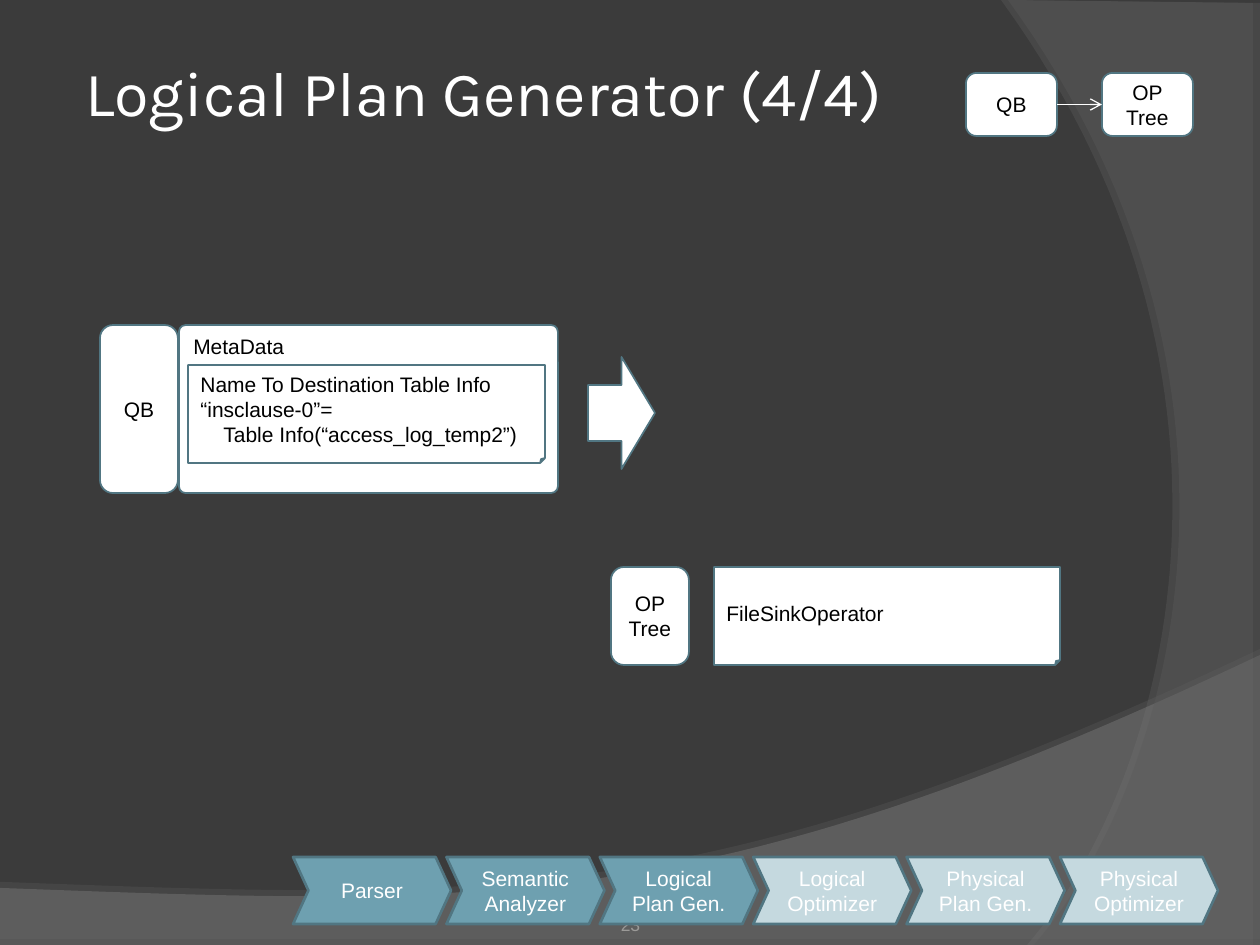
import pptx
import pptx.util
import pptx.dml.color
import pptx.enum.shapes
import pptx.enum.text
import pptx.oxml
import pptx.oxml.ns
from lxml import etree

SHAPE = pptx.enum.shapes.MSO_SHAPE
ALIGN = pptx.enum.text.PP_ALIGN
ANCHOR = pptx.enum.text.MSO_ANCHOR
EMU_PER_PX = 914400 / 126
COLORS = {
    "background": "3B3B3B", "wave": "7C7C7C", "arc": "595959", "shadow": "808080",
    "white": "FFFFFF", "black": "000000", "outline": "517682",
    "done": "6EA0B0", "pending": "C5D9DF", "number": "9B9A98",
}

TITLE = "Logical Plan Generator (4/4)"
SLIDE_NUMBER = "23"
# Corner points, then a Bezier curve from the last corner: two controls and its end
BACKDROPS = [
    {"corners": [(0, 888), (0, 945), (1260, 945), (1260, 655)],
     "curve": [(704, 919), (493, 906), (0, 888)],
     "color": "wave", "alpha": 45, "shadow": (35, 3.5, 270)},
    {"corners": [(1260, 3), (1260, 945), (1034, 945)],
     "curve": [(1178, 780), (1283, 378), (1008, 0)],
     "color": "arc", "alpha": 40, "shadow": (45, 4, 180)},
]
# kind, box, lines, alignment, anchor, corner adjustment
DIAGRAM = [
    (SHAPE.ROUNDED_RECTANGLE, (611, 567, 78, 98), ["OP", "Tree"], ALIGN.CENTER, ANCHOR.MIDDLE, None),
    (SHAPE.FOLDED_CORNER, (714, 567, 346, 98), ["FileSinkOperator"], ALIGN.LEFT, ANCHOR.MIDDLE, 0.05),
    (SHAPE.ROUNDED_RECTANGLE, (100, 325, 78, 168), ["QB"], ALIGN.CENTER, ANCHOR.MIDDLE, None),
    (SHAPE.ROUNDED_RECTANGLE, (179, 325, 379, 168), ["MetaData"], ALIGN.LEFT, ANCHOR.TOP, 0.04),
    (SHAPE.FOLDED_CORNER, (188, 365, 357, 98),
     ["Name To Destination Table Info", "“insclause-0”=", "Table Info(“access_log_temp2”)"],
     ALIGN.LEFT, ANCHOR.TOP, 0.05),
    (SHAPE.RIGHT_ARROW, (588, 357, 67, 112), [], ALIGN.CENTER, ANCHOR.MIDDLE, None),
]
STAGES = [
    (["Parser"], "done"), (["Semantic", "Analyzer"], "done"),
    (["Logical", "Plan Gen."], "done"), (["Logical", "Optimizer"], "pending"),
    (["Physical", "Plan Gen."], "pending"), (["Physical", "Optimizer"], "pending"),
]
STAGE_LEFT, STAGE_RIGHT, STAGE_TOP, STAGE_WIDTH, STAGE_HEIGHT = 293, 1218, 857, 158, 67
KEY = [(966, ["QB"]), (1102, ["OP", "Tree"])]
KEY_TOP, KEY_WIDTH, KEY_HEIGHT = 73, 91, 63
INDENTED_LINE = "Table Info("
INDENT = 23


def px(value):
    return pptx.util.Emu(round(value * EMU_PER_PX))


def rgb(name):
    return pptx.dml.color.RGBColor.from_string(COLORS[name])


def write(frame, lines, size, color, align, anchor, font="Arial"):
    frame.word_wrap = True
    frame.vertical_anchor = anchor
    for index, line in enumerate(lines):
        paragraph = frame.paragraphs[0] if index == 0 else frame.add_paragraph()
        paragraph.alignment = align
        if line.startswith(INDENTED_LINE):
            paragraph._p.get_or_add_pPr().set("marL", str(int(px(INDENT))))
        run = paragraph.add_run()
        run.text = line
        run.font.size = pptx.util.Pt(size)
        run.font.name = font
        run.font.color.rgb = rgb(color)


def add_label(slide, box, text, size, color, align, anchor, margins, font="Arial"):
    frame = slide.shapes.add_textbox(*map(px, box)).text_frame
    frame.margin_left, frame.margin_top, frame.margin_right, frame.margin_bottom = map(px, margins)
    write(frame, [text], size, color, align, anchor, font)


def set_adjustment(shape, value):
    """Write the single adjust value; python-pptx lists none for a folded corner."""
    qn = pptx.oxml.ns.qn
    geometry = shape._element.spPr.find(qn("a:prstGeom"))
    for old_values in geometry.findall(qn("a:avLst")):
        geometry.remove(old_values)
    values = etree.SubElement(geometry, qn("a:avLst"))
    etree.SubElement(values, qn("a:gd"), name="adj", fmla=f"val {round(value * 100000)}")


def add_box(slide, kind, box, lines, align=ALIGN.CENTER, anchor=ANCHOR.MIDDLE,
            adjustment=None, fill="white", color="black", line_width=1):
    shape = slide.shapes.add_shape(kind, *map(px, box))
    shape.shadow.inherit = False
    if adjustment is not None:
        set_adjustment(shape, adjustment)
    shape.fill.solid()
    shape.fill.fore_color.rgb = rgb(fill)
    shape.line.color.rgb = rgb("outline")
    shape.line.width = pptx.util.Pt(line_width)
    write(shape.text_frame, lines, 12, color, align, anchor)


def bezier(start, first, second, end, steps=60):
    """Return the points of a cubic curve after its start."""
    points = []
    for step in range(1, steps + 1):
        t = step / steps
        weights = ((1 - t) ** 3, 3 * t * (1 - t) ** 2, 3 * t * t * (1 - t), t ** 3)
        points.append(tuple(
            sum(w * p[axis] for w, p in zip(weights, (start, first, second, end)))
            for axis in (0, 1)))
    return points


def add_backdrop(slide, corners, curve, color, alpha, shadow):
    points = corners + bezier(corners[-1], *curve)
    points = [(px(x), px(y)) for x, y in points]
    builder = slide.shapes.build_freeform(*points[0])
    builder.add_line_segments(points[1:], close=True)
    shape = builder.convert_to_shape()
    shape.shadow.inherit = False
    shape.fill.solid()
    shape.fill.fore_color.rgb = rgb(color)
    shape.line.fill.background()
    qn = pptx.oxml.ns.qn
    properties = shape._element.spPr
    fill_color = properties.find(qn("a:solidFill")).find(qn("a:srgbClr"))
    etree.SubElement(fill_color, qn("a:alpha"), val=str(alpha * 1000))
    opacity, distance, angle = shadow
    outer = etree.SubElement(
        properties.find(qn("a:effectLst")), qn("a:outerShdw"), blurRad="0",
        dist=str(int(pptx.util.Pt(distance))), dir=str(angle * 60000), rotWithShape="0")
    shadow_color = etree.SubElement(outer, qn("a:srgbClr"), val=COLORS["shadow"])
    etree.SubElement(shadow_color, qn("a:alpha"), val=str(opacity * 1000))


def add_arrow(slide, start, end):
    connector = slide.shapes.add_connector(
        pptx.enum.shapes.MSO_CONNECTOR.STRAIGHT, *map(px, start + end))
    connector.line.color.rgb = rgb("white")
    connector.line.width = pptx.util.Pt(0.75)
    qn = pptx.oxml.ns.qn
    properties = connector._element.spPr
    etree.SubElement(properties.find(qn("a:ln")), qn("a:tailEnd"), type="arrow")
    etree.SubElement(properties, qn("a:effectLst"))


def main():
    presentation = pptx.Presentation()
    presentation.slide_width, presentation.slide_height = px(1260), px(945)
    slide = presentation.slides.add_slide(presentation.slide_layouts[6])
    slide.background.fill.solid()
    slide.background.fill.fore_color.rgb = rgb("background")

    for backdrop in BACKDROPS:
        add_backdrop(slide, **backdrop)
    add_label(slide, (431, 885, 399, 50), SLIDE_NUMBER, 10, "number",
              ALIGN.CENTER, ANCHOR.BOTTOM, (0, 6, 0, 0))
    add_label(slide, (79, 45, 1103, 93), TITLE, 36, "white",
              ALIGN.LEFT, ANCHOR.MIDDLE, (6, 6, 6, 6), "Karla")

    for item in DIAGRAM:
        add_box(slide, *item)

    pitch = (STAGE_RIGHT - STAGE_LEFT - STAGE_WIDTH) / (len(STAGES) - 1)
    for index, (lines, state) in enumerate(STAGES):
        box = (STAGE_LEFT + index * pitch, STAGE_TOP, STAGE_WIDTH, STAGE_HEIGHT)
        add_box(slide, SHAPE.CHEVRON, box, lines, adjustment=0.23,
                fill=state, color="white", line_width=1.5)

    for left, lines in KEY:
        add_box(slide, SHAPE.ROUNDED_RECTANGLE, (left, KEY_TOP, KEY_WIDTH, KEY_HEIGHT), lines)
    middle = KEY_TOP + KEY_HEIGHT / 2
    add_arrow(slide, (KEY[0][0] + KEY_WIDTH, middle), (KEY[1][0], middle))

    presentation.save("out.pptx")


if __name__ == "__main__":
    main()
